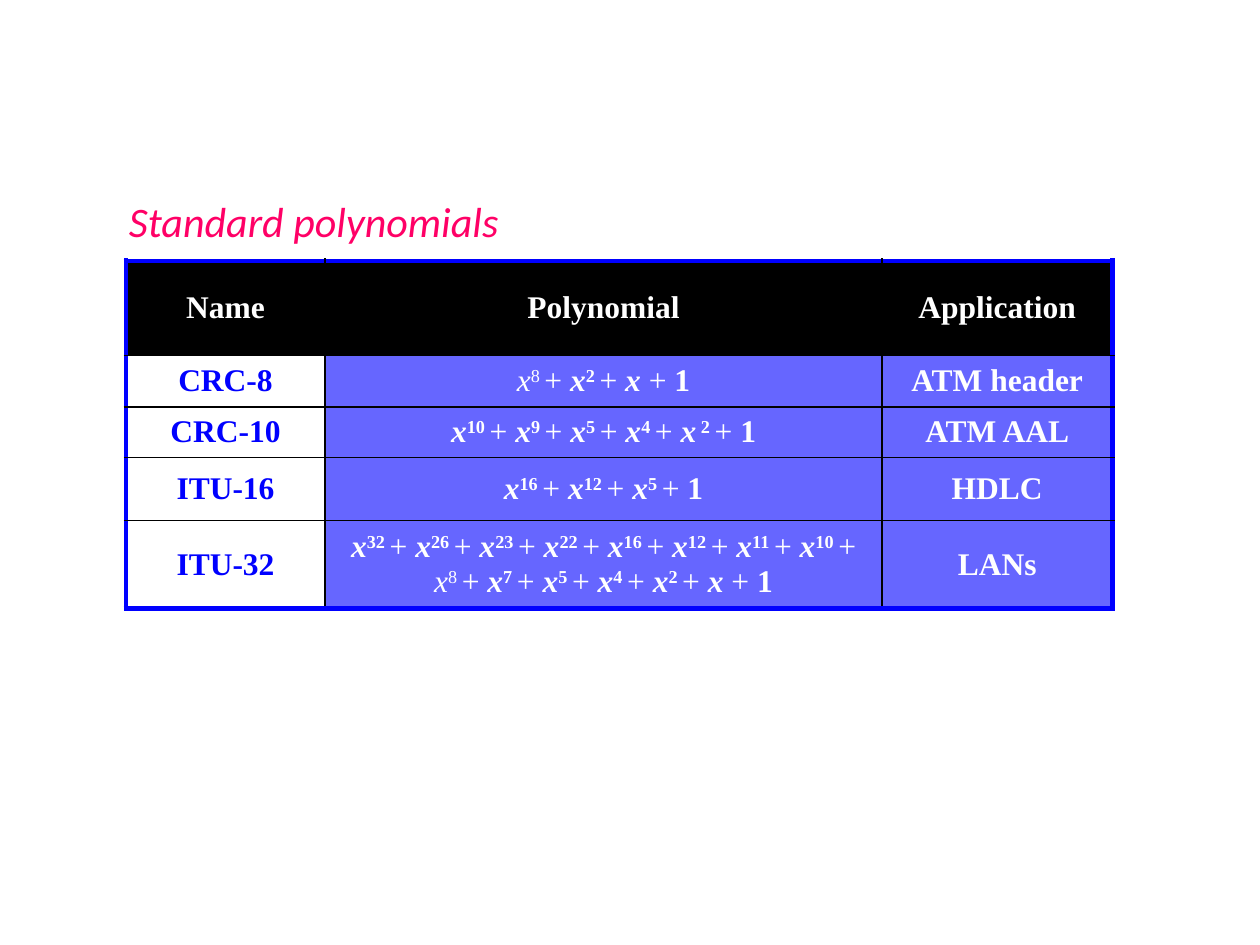
from lxml.etree import Element, SubElement
from pptx import Presentation
from pptx.dml.color import RGBColor
from pptx.enum.text import MSO_ANCHOR, MSO_AUTO_SIZE, PP_ALIGN
from pptx.oxml.ns import qn
from pptx.util import Inches, Pt

HUES = {"pink": "FF0066", "blue": "0000FF", "violet": "6666FF",
        "black": "000000", "white": "FFFFFF"}
HEADS = ["Name", "Polynomial", "Application"]
CODES = [
    ("CRC-8", "x8+x2+x+1", "ATM header"),
    ("CRC-10", "x10+x9+x5+x4+x 2+1", "ATM AAL"),
    ("ITU-16", "x16+x12+x5+1", "HDLC"),
    ("ITU-32", "x32+x26+x23+x22+x16+x12+x11+x10+x8+x7+x5+x4+x2+x+1", "LANs"),
]
WIDTHS = [1.58, 4.42, 1.83]
HEIGHTS = [0.75, 0.41, 0.4, 0.5, 0.7]


def write(para, text, font="Times New Roman", size=18, hue="white",
          bold=True, italic=False, power=False):
    """Add a run of text in the given format."""
    run = para.add_run()
    run.text = text
    face = run.font
    face.name, face.size = font, Pt(size)
    face.bold, face.italic = bold, italic
    face.color.rgb = RGBColor.from_string(HUES[hue])
    if power:
        run._r.get_or_add_rPr().set("baseline", "30000")


class Deck:
    """Hold the style and the current slide."""

    def __init__(self):
        """Start a deck with one blank slide."""
        self.show = Presentation()
        self.show.slide_width, self.show.slide_height = Inches(10), Inches(7.5)
        self.slide = self.show.slides.add_slide(self.show.slide_layouts[6])

    def title(self, text, left, top, width, height):
        """Add the heading in one unwrapped line."""
        box = self.slide.shapes.add_textbox(
            Inches(left), Inches(top), Inches(width), Inches(height))
        frame = box.text_frame
        frame.word_wrap = False
        frame.auto_size = MSO_AUTO_SIZE.SHAPE_TO_FIT_TEXT
        write(frame.paragraphs[0], text, font="Calibri", size=24,
              hue="pink", bold=False, italic=True)

    def formula(self, para, text):
        """Write a polynomial with raised powers."""
        terms = text.split("+")
        for term in terms[:-1]:
            bold = term != "x8"
            power = term[1:]
            write(para, "x" if power else "x ", bold=bold, italic=True)
            if power:
                write(para, power + " ", bold=bold, power=True)
            write(para, "+ ", bold=False)
        write(para, terms[-1])

    def border(self, cell, sides):
        """Draw the four sides of a cell, blue where outer."""
        props = cell._tc.get_or_add_tcPr()
        for spot, (side, outer) in enumerate(sides.items()):
            line = Element(qn(f"a:ln{side}"), w=str(Pt(3 if outer else 1)))
            fill = SubElement(line, qn("a:solidFill"))
            hue = HUES["blue" if outer else "black"]
            SubElement(fill, qn("a:srgbClr"), val=hue)
            props.insert(spot, line)

    def table(self, rows, left, top):
        """Add the table of codes."""
        grid = self.slide.shapes.add_table(
            len(rows), len(WIDTHS), Inches(left), Inches(top),
            Inches(sum(WIDTHS)), Inches(sum(HEIGHTS))).table
        grid.first_row = grid.horz_banding = False
        for col, width in zip(grid.columns, WIDTHS):
            col.width = Inches(width)
        for row, height in zip(grid.rows, HEIGHTS):
            row.height = Inches(height)
        for r, row in enumerate(rows):
            for c, text in enumerate(row):
                cell = grid.cell(r, c)
                self.fill(cell, text, r, c)
                self.border(cell, {"L": c == 0, "R": c == len(row) - 1,
                                   "T": r == 0, "B": r == len(rows) - 1})

    def fill(self, cell, text, r, c):
        """Set the ground and the text of a cell."""
        hue = "black" if r == 0 else "violet" if c else "white"
        cell.fill.solid()
        cell.fill.fore_color.rgb = RGBColor.from_string(HUES[hue])
        cell.vertical_anchor = MSO_ANCHOR.MIDDLE
        para = cell.text_frame.paragraphs[0]
        para.alignment = PP_ALIGN.CENTER
        if r:
            para.space_after = Pt(3)
        if r and c == 1:
            self.formula(para, text)
        else:
            write(para, text, hue="blue" if hue == "white" else "white")


def main():
    """Build and save the slide."""
    deck = Deck()
    deck.title(" Standard polynomials", 0.85, 1.5, 3.84, 0.5)
    deck.table([HEADS, *CODES], 1, 2.07)
    deck.show.save("out.pptx")


if __name__ == "__main__":
    main()
